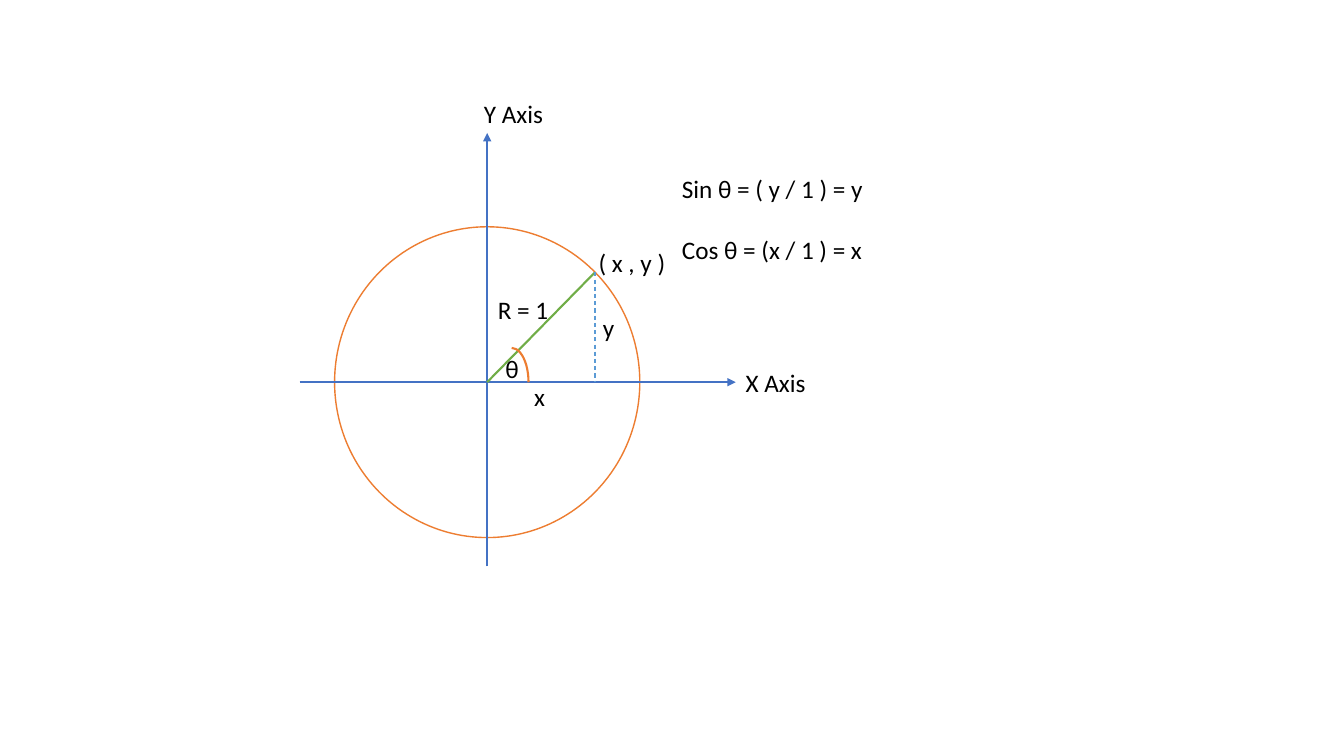
from dataclasses import dataclass

from lxml.etree import SubElement
from pptx import Presentation
from pptx.dml.color import RGBColor
from pptx.enum.dml import MSO_LINE
from pptx.enum.shapes import MSO_CONNECTOR, MSO_SHAPE
from pptx.enum.text import MSO_AUTO_SIZE
from pptx.oxml.ns import qn
from pptx.shapes.autoshape import Shape
from pptx.shapes.connector import Connector
from pptx.slide import Slide
from pptx.util import Pt

COLORS = {
    "paper": "FFFFFF",
    "text": "000000",
    "circle": "ED7D31",
    "axis": "4472C4",
    "radius": "70AD47",
    "drop": "5B9BD5",
}
FONT, SIZE, LINE_PITCH = "Calibri", 18, 22
CX, CY = 348, 273  # centre of the unit circle
PX, PY = 425, 194.5  # the point (x, y) on the circle


@dataclass
class Segment:
    start: tuple[float, float]
    end: tuple[float, float]
    color: str
    width: float = 1.5
    arrow: bool = False
    dashed: bool = False


@dataclass
class Label:
    paragraphs: tuple[str, ...]
    left: float
    top: float
    width: float
    height: float = 29
    inset_left: float = 7.2
    inset_right: float = 7.2


X_AXIS = Segment((214, CY), (525.5, CY), "axis", arrow=True)
X_LABEL = Label(("X Axis",), 525.5, CY - 14.5, 123)

SEGMENTS = [
    Segment((CX, 404.5), (CX, 95), "axis", arrow=True),
    Segment((CX, CY), (PX, PY), "radius"),
    Segment((PX, PY), (PX, CY), "drop", width=0.75, dashed=True),
]

LABELS = [
    Label(("Y Axis",), 338.5, 66.5, 123),
    Label(("( x , y )",), 420.5, 173, 123),
    Label(("x",), 374.5, 268.5, 24),
    Label(("y",), 423.5, 219.5, 24),
    Label(("R = 1",), 348.5, 206.5, 54),
    Label(("θ",), 357, 248.5, 15, inset_left=4, inset_right=0),
    Label(("Sin θ = ( y / 1 ) = y", "Cos θ = (x / 1 ) = x"), 480, 120, 235, 73),
]


def rgb(name: str) -> RGBColor:
    return RGBColor.from_string(COLORS[name])


def add_segment(s: Slide, seg: Segment) -> Connector:
    points = [Pt(v) for v in (*seg.start, *seg.end)]
    line = s.shapes.add_connector(MSO_CONNECTOR.STRAIGHT, *points)
    line.line.color.rgb = rgb(seg.color)
    line.line.width = Pt(seg.width)
    if seg.dashed:
        line.line.dash_style = MSO_LINE.DASH
    if seg.arrow:
        SubElement(line.line._get_or_add_ln(), qn("a:tailEnd"), type="triangle")
    SubElement(line._element.spPr, qn("a:effectLst"))
    return line


def add_label(s: Slide, label: Label) -> Shape:
    sp = s.shapes.add_textbox(
        Pt(label.left), Pt(label.top), Pt(label.width), Pt(label.height)
    )
    tf = sp.text_frame
    tf.word_wrap = True
    tf.auto_size = MSO_AUTO_SIZE.SHAPE_TO_FIT_TEXT
    tf.margin_left, tf.margin_right = Pt(label.inset_left), Pt(label.inset_right)
    for i, text in enumerate(label.paragraphs):
        p = tf.add_paragraph() if i else tf.paragraphs[0]
        p.text = text
        p.font.name, p.font.size = FONT, Pt(SIZE)
        p.font.color.rgb = rgb("text")
        if i:
            p.space_before = Pt(LINE_PITCH)
    return sp


def add_outline(
    s: Slide, kind: MSO_SHAPE, left: float, top: float,
    width: float, height: float, line_width: float,
) -> Shape:
    sp = s.shapes.add_shape(kind, Pt(left), Pt(top), Pt(width), Pt(height))
    sp.shadow.inherit = False
    sp.line.color.rgb = rgb("circle")
    sp.line.width = Pt(line_width)
    return sp


def main() -> None:
    prs = Presentation()
    prs.slide_width, prs.slide_height = Pt(960), Pt(540)
    s = prs.slides.add_slide(prs.slide_layouts[6])

    # Unit circle
    circle = add_outline(
        s, MSO_SHAPE.FLOWCHART_CONNECTOR, CX - 109, CY - 111, 218, 222, 1
    )
    circle.fill.solid()
    circle.fill.fore_color.rgb = rgb("paper")

    # X axis, joined to its label
    x_axis = add_segment(s, X_AXIS)
    x_axis.end_connect(add_label(s, X_LABEL), 1)

    # Y axis, radius and dashed drop line
    for seg in SEGMENTS:
        add_segment(s, seg)

    # Angle mark
    arc = add_outline(s, MSO_SHAPE.ARC, 353.5, 248.5, 24, 49, 1.5)
    arc.fill.background()

    # Labels and formulas
    for label in LABELS:
        add_label(s, label)

    prs.save("out.pptx")


if __name__ == "__main__":
    main()
